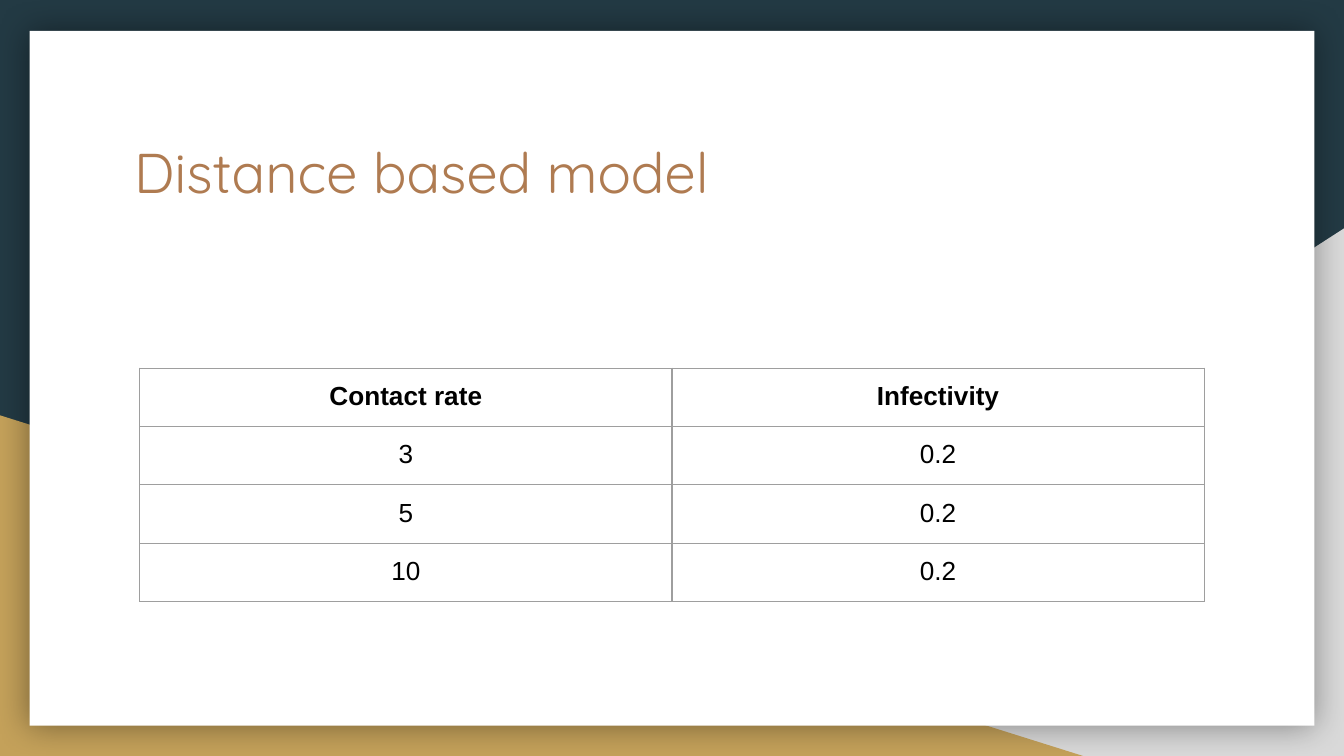
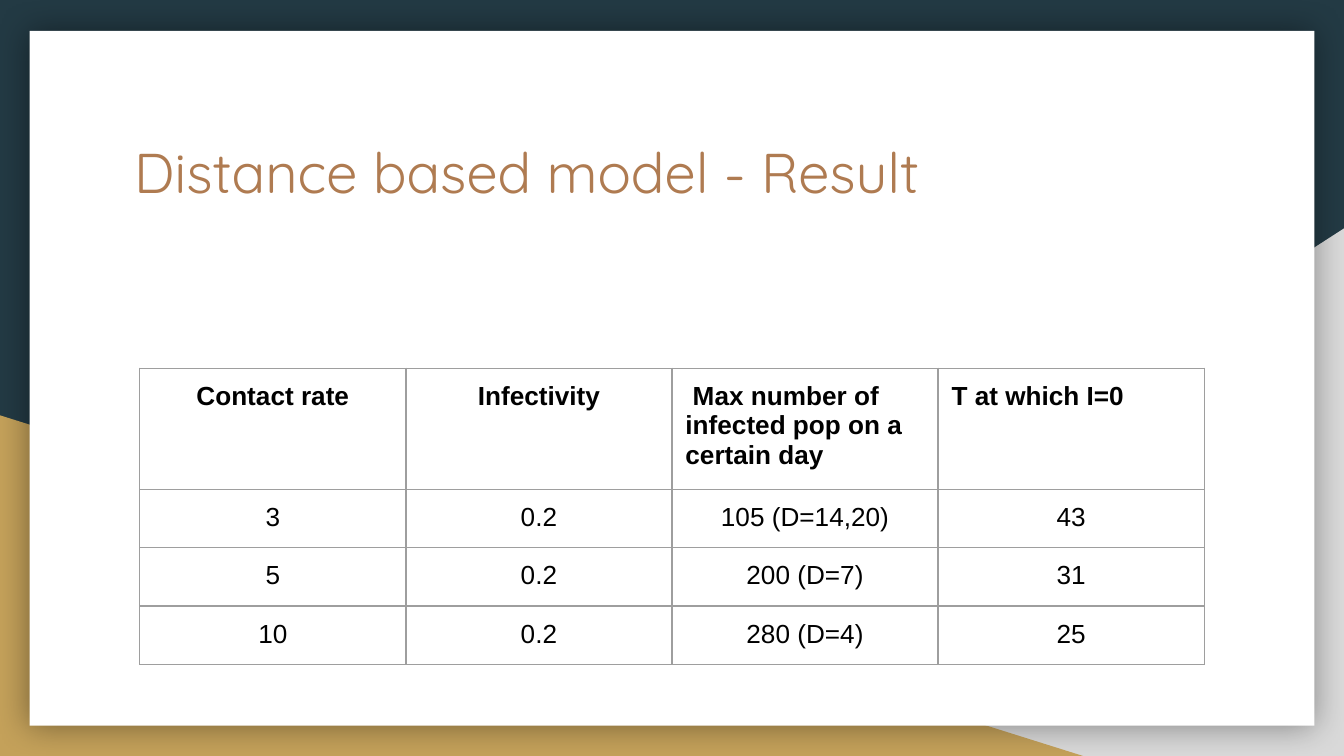
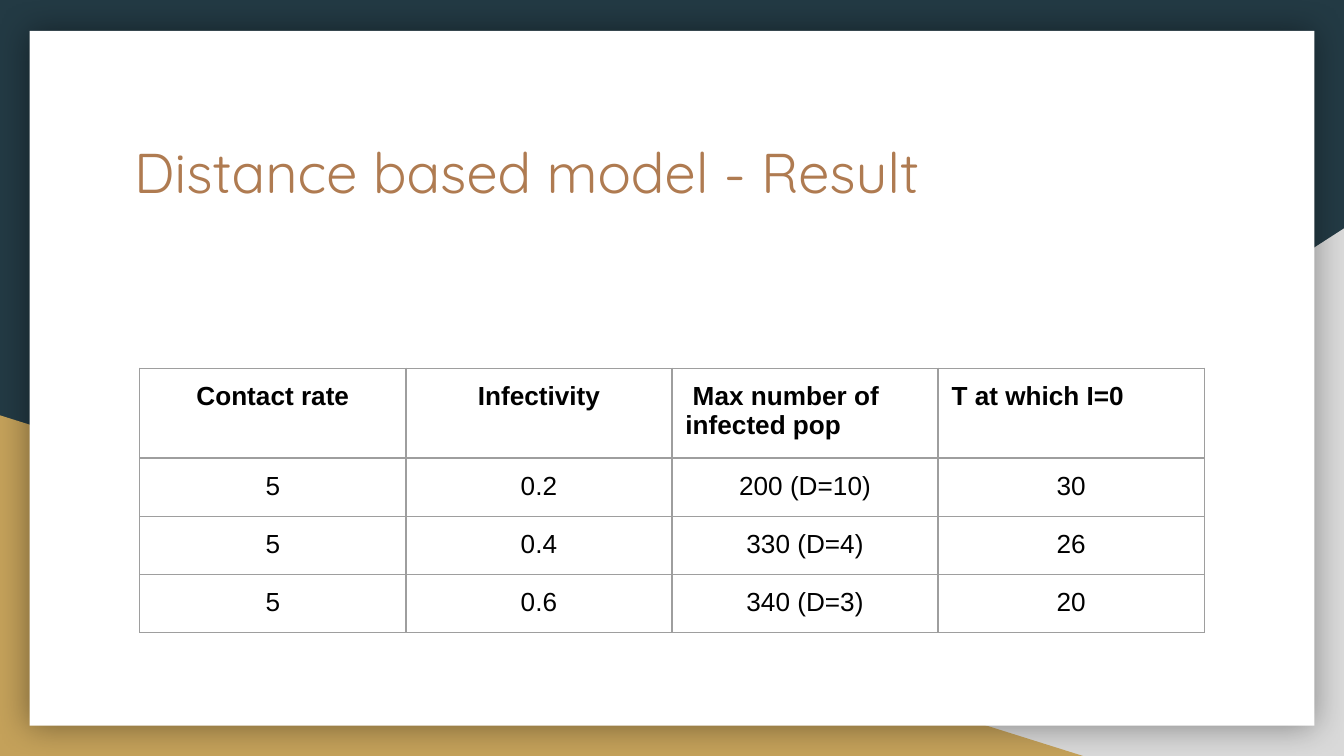
from dataclasses import dataclass

from lxml import etree
from pptx import Presentation
from pptx.dml.color import RGBColor
from pptx.enum.shapes import MSO_SHAPE
from pptx.enum.text import PP_ALIGN
from pptx.oxml.ns import qn
from pptx.util import Inches, Pt

RECT = MSO_SHAPE.RECTANGLE
WEDGE = MSO_SHAPE.RIGHT_TRIANGLE
LEFT, CENTER = PP_ALIGN.LEFT, PP_ALIGN.CENTER


@dataclass(frozen=True)
class Theme:
    navy: str = "233A44"
    gray: str = "D9D9D9"
    gold: str = "C4A15A"
    white: str = "FFFFFF"
    brown: str = "AF7B51"
    black: str = "000000"
    rule: str = "9E9E9E"
    head_font: str = "Quicksand"
    body_font: str = "Arial"
    head_size: float = 30
    body_size: float = 14
    rule_size: float = 0.75
    blur: float = 18
    shade: int = 40


THEME = Theme()
WIDTH = 10
HEIGHT = WIDTH * 9 / 16
INSET = 0.1
GRID_LEFT, GRID_TOP, GRID_WIDTH, ROW = 1.04, 2.74, 7.92, 0.42
GRAY_LEFT, GRAY_TOP = 3.92, 1.7
GOLD_WIDTH, GOLD_TOP = 8.06, 3.09

# Header cells: text and alignment
RATE = ("Contact rate", CENTER)
INFECT = ("Infectivity", CENTER)
END = ("T at which I=0", LEFT)

SLIDES = [
    {
        "title": "Distance based model",
        "heads": [RATE, INFECT],
        "rows": [("3", "0.2"), ("5", "0.2"), ("10", "0.2")],
    },
    {
        "title": "Distance based model - Result",
        "heads": [RATE, INFECT,
                  (" Max number of infected pop on a certain day", LEFT), END],
        "rows": [
            ("3", "0.2", "105 (D=14,20)", "43"),
            ("5", "0.2", "200 (D=7)", "31"),
            ("10", "0.2", "280 (D=4)", "25"),
        ],
    },
    {
        "title": "Distance based model - Result",
        "heads": [RATE, INFECT, (" Max number of infected pop", LEFT), END],
        "rows": [
            ("5", "0.2", "200 (D=10)", "30"),
            ("5", "0.4", "330 (D=4)", "26"),
            ("5", "0.6", "340 (D=3)", "20"),
        ],
    },
]


def rgb(color):
    return RGBColor.from_string(color)


def style(font, name, size, color, bold=False):
    font.name, font.size, font.bold = name, Pt(size), bold
    font.color.rgb = rgb(color)


def pad(box):
    """Give a text frame or a cell the same inset on all sides."""
    box.margin_left = box.margin_right = Inches(INSET)
    box.margin_top = box.margin_bottom = Inches(INSET)


def add_color(parent, color):
    fill = etree.SubElement(parent, qn("a:solidFill"))
    etree.SubElement(fill, qn("a:srgbClr"), val=color)


def add_block(slide, kind, area, color):
    block = slide.shapes.add_shape(kind, *map(Inches, area))
    block.shadow.inherit = False
    block.fill.solid()
    block.fill.fore_color.rgb = rgb(color)
    block.line.fill.background()
    return block


def add_glow(shape):
    """Put a soft, centred shadow round the shape."""
    effects = shape.element.spPr.find(qn("a:effectLst"))
    glow = etree.SubElement(effects, qn("a:outerShdw"), blurRad=str(Pt(THEME.blur)),
                            dist="0", dir="0", algn="ctr", rotWithShape="0")
    color = etree.SubElement(glow, qn("a:srgbClr"), val=THEME.black)
    etree.SubElement(color, qn("a:alpha"), val=str(THEME.shade * 1000))


def add_frame(slide):
    """Draw the dark ground, the two corner wedges and the white card."""
    slide.background.fill.solid()
    slide.background.fill.fore_color.rgb = rgb(THEME.navy)
    gray = (GRAY_LEFT, GRAY_TOP, WIDTH - GRAY_LEFT, HEIGHT - GRAY_TOP)
    gold = (0, GOLD_TOP, GOLD_WIDTH, HEIGHT - GOLD_TOP)
    right = add_block(slide, WEDGE, gray, THEME.gray)
    right.element.spPr.xfrm.set("flipH", "1")
    add_block(slide, WEDGE, gold, THEME.gold)
    add_glow(add_block(slide, RECT, (0.22, 0.23, 9.56, 5.17), THEME.white))


def add_title(slide, text):
    frame = slide.shapes.add_textbox(*map(Inches, (0.9, 0.92, 8.21, 1.04))).text_frame
    frame.word_wrap = True
    pad(frame)
    frame.text = text
    style(frame.paragraphs[0].runs[0].font, THEME.head_font, THEME.head_size, THEME.brown)


def add_rules(cell):
    """Draw the four borders; they must come before the cell's fill."""
    props = cell._tc.get_or_add_tcPr()
    for spot, side in enumerate(("a:lnL", "a:lnR", "a:lnT", "a:lnB")):
        line = etree.Element(qn(side), w=str(Pt(THEME.rule_size)))
        add_color(line, THEME.rule)
        props.insert(spot, line)


def fill_cell(cell, text, align, bold):
    pad(cell)
    cell.fill.background()
    add_rules(cell)
    cell.text = text
    para = cell.text_frame.paragraphs[0]
    para.alignment = align
    para.line_spacing = 1.0
    style(para.runs[0].font, THEME.body_font, THEME.body_size, THEME.black, bold)


def add_grid(slide, heads, rows):
    lines = [heads] + [[(text, CENTER) for text in row] for row in rows]
    area = (GRID_LEFT, GRID_TOP, GRID_WIDTH, ROW * len(lines))
    table = slide.shapes.add_table(len(lines), len(heads), *map(Inches, area)).table
    table.first_row = table.horz_banding = False
    props = table._tbl.tblPr
    props.remove(props.find(qn("a:tableStyleId")))
    for r, line in enumerate(lines):
        for c, (text, align) in enumerate(line):
            fill_cell(table.cell(r, c), text, align, bold=r == 0)


def main():
    deck = Presentation()
    deck.slide_width, deck.slide_height = Inches(WIDTH), Inches(HEIGHT)
    for page in SLIDES:
        slide = deck.slides.add_slide(deck.slide_layouts[6])
        add_frame(slide)
        add_title(slide, page["title"])
        add_grid(slide, page["heads"], page["rows"])
    deck.save("out.pptx")


if __name__ == "__main__":
    main()
